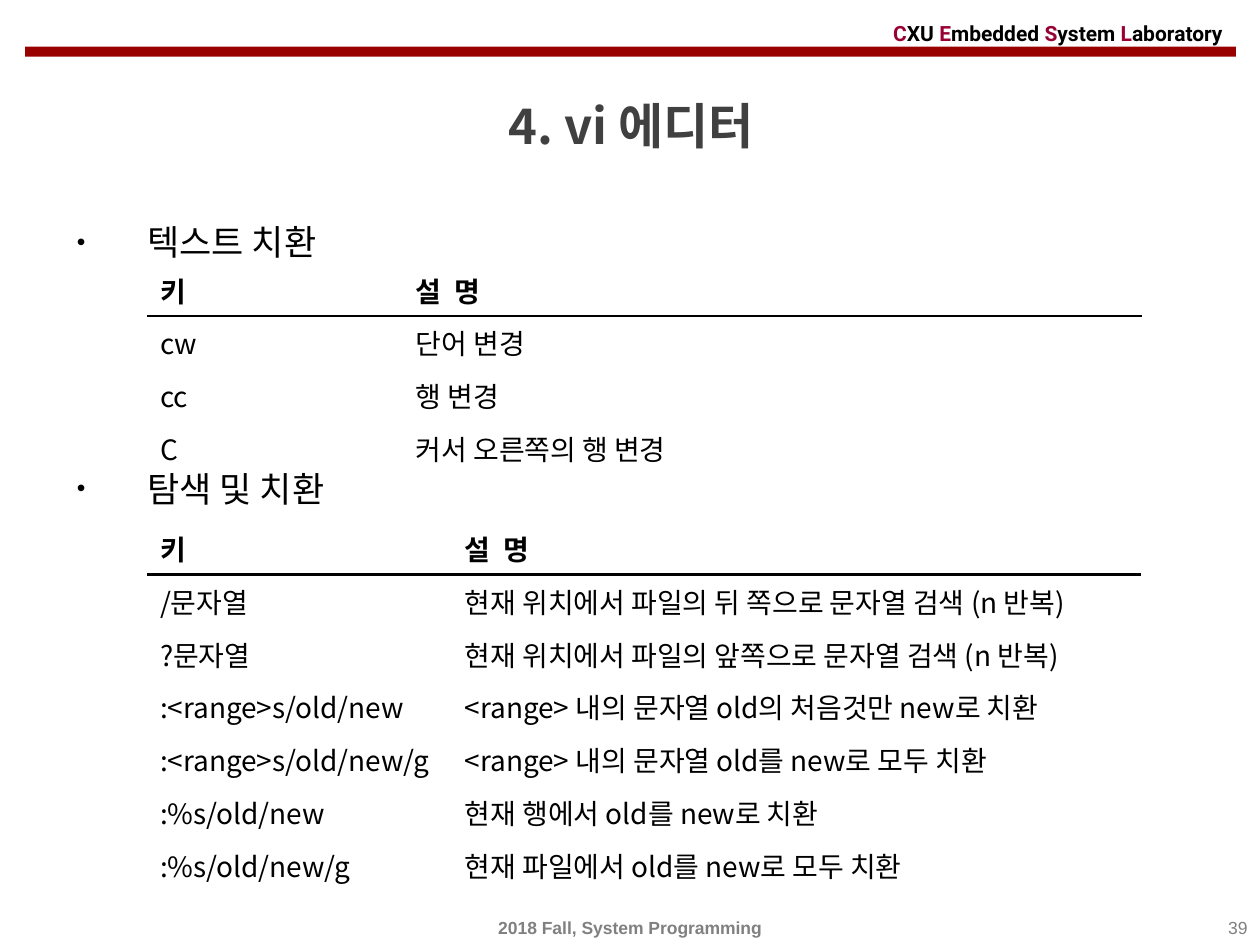
from lxml.etree import SubElement
from pptx import Presentation
from pptx.dml.color import RGBColor
from pptx.enum.shapes import MSO_SHAPE
from pptx.enum.text import MSO_ANCHOR, MSO_AUTO_SIZE, PP_ALIGN
from pptx.oxml import parse_xml
from pptx.oxml.ns import nsdecls, qn
from pptx.util import Inches, Pt

# Grid: 100 columns by 75 rows
COLS, ROWS = 100, 75
KOREAN = "Noto Sans CJK KR"
PLAIN_TABLE = "{2D5ABB26-0587-4C30-8999-92F81FD0307C}"
HEADER = ["키", "설  명"]
SUBSTITUTE = [
    ("cw", "단어 변경"),
    ("cc", "행 변경"),
    ("C", "커서 오른쪽의 행 변경"),
]
SEARCH = [
    ("/문자열", "현재 위치에서 파일의 뒤 쪽으로 문자열 검색 (n 반복)"),
    ("?문자열", "현재 위치에서 파일의 앞쪽으로 문자열 검색 (n 반복)"),
    (":<range>s/old/new", "<range> 내의 문자열 old의 처음것만 new로 치환"),
    (":<range>s/old/new/g", "<range> 내의 문자열 old를 new로 모두 치환"),
    (":%s/old/new", "현재 행에서 old를 new로 치환"),
    (":%s/old/new/g", "현재 파일에서 old를 new로 모두 치환"),
]

prs = Presentation()
prs.slide_width, prs.slide_height = Inches(10), Inches(7.5)


def grid(x, y, w, h):
    col, row = prs.slide_width / COLS, prs.slide_height / ROWS
    return int(x * col), int(y * row), int(w * col), int(h * row)


def rgb(color):
    return RGBColor.from_string(color)


def style(r, size, font, color, bold=False):
    f = r.font
    f.size, f.name, f.bold = Pt(size), font, bold
    f.color.rgb = rgb(color)
    SubElement(r._r.get_or_add_rPr(), qn("a:ea")).set("typeface", KOREAN)


def place(sp, box):
    sp.left, sp.top, sp.width, sp.height = grid(*box)
    sp.text_frame.auto_size = MSO_AUTO_SIZE.NONE
    return sp.text_frame


def add_text(s, box, parts, size, font, bold=False, align=None):
    """One line of text made of (text, colour) parts."""
    tf = s.shapes.add_textbox(*grid(*box)).text_frame
    tf.word_wrap = True
    tf.vertical_anchor = MSO_ANCHOR.MIDDLE
    p = tf.paragraphs[0]
    p.alignment = align
    for text, color in parts:
        r = p.add_run()
        r.text = text
        style(r, size, font, color, bold)


def add_banner(s, box):
    x, y, w, h = box
    bar = s.shapes.add_shape(MSO_SHAPE.RECTANGLE, *grid(x, y, w, h))
    bar.shadow.inherit = False
    bar.fill.solid()
    bar.fill.fore_color.rgb = rgb("990000")
    bar.line.fill.background()
    # Laboratory name with coloured initials
    parts = [part for word in ("CXU ", "Embedded ", "System ", "Laboratory")
             for part in ((word[0], "990033"), (word[1:], "000000"))]
    add_text(s, (x + 67.9, y - 2.5, 30.1, 2.8), parts, 12, "Roboto", True)


def add_title(s, box, text):
    tf = place(s.shapes.title, box)
    tf.text = text
    tf.vertical_anchor = MSO_ANCHOR.MIDDLE
    p = tf.paragraphs[0]
    p.alignment = PP_ALIGN.CENTER
    style(p.runs[0], 28, KOREAN, "404040", True)


def add_topics(s, box, topics):
    """Bulleted topics, each given with the space before it in points."""
    tf = place(s.placeholders[1], box)
    tf.text = "\n".join(text for text, _ in topics)
    for p, (_, gap) in zip(tf.paragraphs, topics):
        p.space_before = Pt(gap)
        style(p.runs[0], 20, "Roboto", "000000")
        pPr = p._p.get_or_add_pPr()
        pPr.set("marL", str(Inches(0.56)))
        pPr.set("indent", str(-Inches(0.56)))
        SubElement(pPr, qn("a:buSzPct")).set("val", "70000")
        SubElement(pPr, qn("a:buChar")).set("char", "•")


def set_borders(cell, ruled_side):
    """Clear every side of the cell except the ruled one."""
    tcPr = cell._tc.get_or_add_tcPr()
    for i, side in enumerate(("lnL", "lnR", "lnT", "lnB")):
        paint = "<a:noFill/>"
        if side == ruled_side:
            paint = '<a:solidFill><a:srgbClr val="000000"/></a:solidFill>'
        tcPr.insert(i, parse_xml(
            f'<a:{side} {nsdecls("a")} w="{Pt(1.5)}">{paint}</a:{side}>'))


def add_key_table(s, box, key_width, commands):
    x, y, w, row_height = box
    rows = [HEADER, *commands]
    frame = s.shapes.add_table(len(rows), 2, *grid(x, y, w, row_height * len(rows)))
    table = frame.table
    table.first_row = table.horz_banding = False
    table._tbl.tblPr.find(qn("a:tableStyleId")).text = PLAIN_TABLE
    for column, width in zip(table.columns, (key_width, w - key_width)):
        column.width = grid(0, 0, width, 0)[2]
    # The only rule lies between the header and the first command
    ruled_sides = {0: "lnB", 1: "lnT"}
    for i, row in enumerate(rows):
        for j, text in enumerate(row):
            cell = table.cell(i, j)
            cell.text = text
            cell.fill.background()
            style(cell.text_frame.paragraphs[0].runs[0], 16, KOREAN, "000000", i == 0)
            set_borders(cell, ruled_sides.get(i))


def add_footer(s, box, text, number):
    x, y, w, h = box
    add_text(s, (x + 0.77 * w, y, 0.23 * w, h), [(number, "808080")], 10, "Arial",
             align=PP_ALIGN.RIGHT)
    add_text(s, box, [(text, "808080")], 10, "Arial", True, PP_ALIGN.CENTER)


def main():
    s = prs.slides.add_slide(prs.slide_layouts[1])
    add_banner(s, (2, 3.7, 96.1, 0.8))
    add_title(s, (2.1, 6, 96, 7.9), "4. vi 에디터")
    add_topics(s, (5.1, 17, 90.6, 52.8), [("텍스트 치환", 4), ("탐색 및 치환", 117)])
    add_key_table(s, (11.7, 20.9, 78.9, 4.2), 20.3, SUBSTITUTE)
    add_key_table(s, (11.7, 41.4, 78.9, 4.2), 24.2, SEARCH)
    add_footer(s, (0, 72.2, 100, 2.8), "2018 Fall, System Programming", "39")
    prs.save("out.pptx")


if __name__ == "__main__":
    main()
